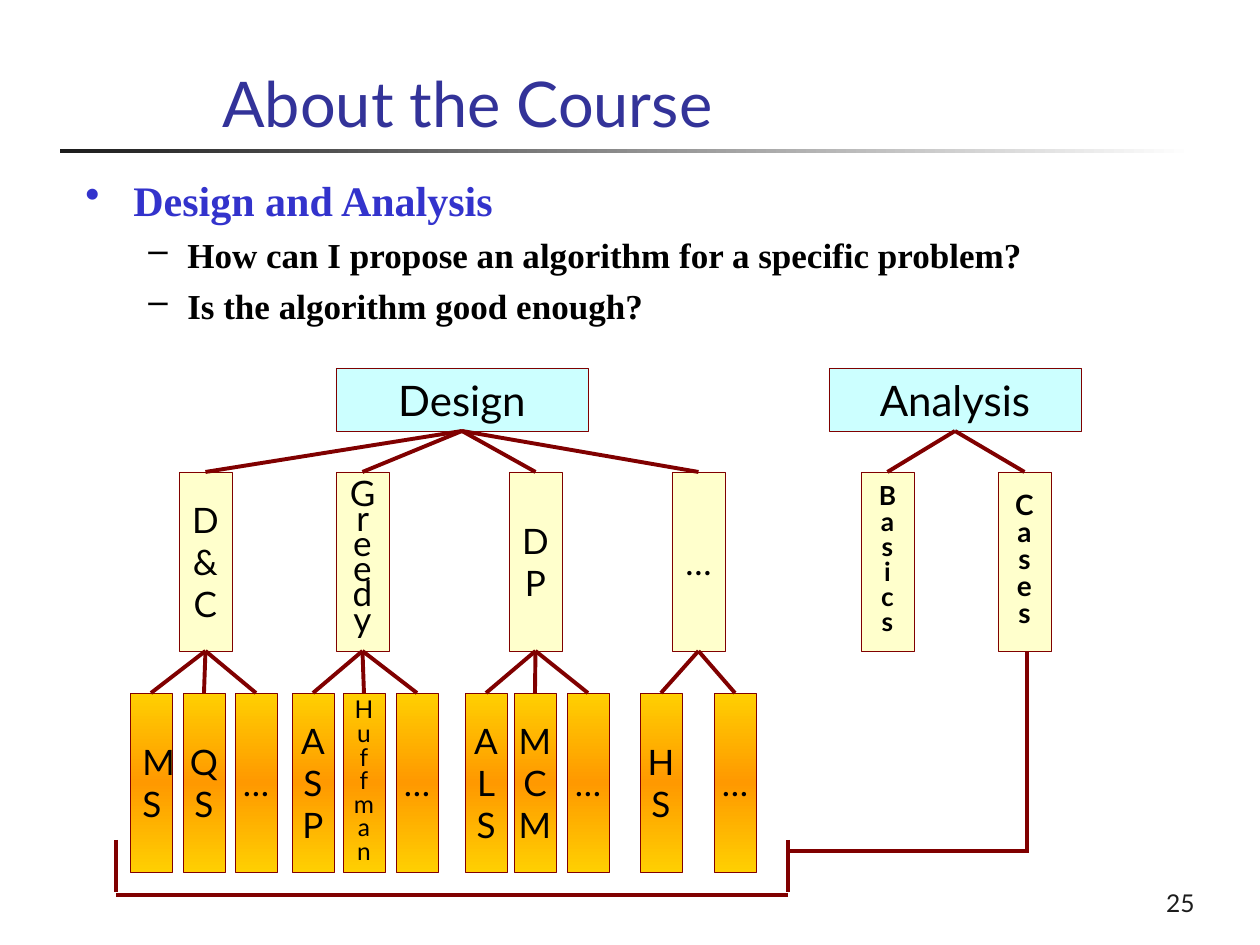
from lxml import etree
from pptx import Presentation as Deck
from pptx.dml.color import RGBColor as Rgb
from pptx.enum.shapes import MSO_CONNECTOR as Link, MSO_SHAPE as Shape
from pptx.enum.text import MSO_ANCHOR as Anchor, PP_ALIGN as Align
from pptx.oxml.ns import qn
from pptx.util import Pt

SCALE = 914400 / 126
HUES = {
    "title": "333399", "head": "3333CC", "ink": "000000", "grey": "1C1C1C",
    "white": "FFFFFF", "root": "CCFFFF", "branch": "FFFFCC",
    "gold": "FFCF01", "orange": "FF9900", "line": "800000",
}
ROOT_TOP, ROOT_W, ROOT_H = 368, 252, 63
MID_TOP, MID_W = 472, 53
LEAF_TOP, LEAF_W = 693, 42
TALL = 179

DESIGN = [
    (179, "D&C", {}, [(130, "MS", {"wrap": True}), (183, "QS", {}), (235, "…", {})]),
    (336, ["Greedy"], {"gap": 0.6, "wrap": True},
     [(292, "ASP", {}), (343, "Huffman", {"size": 14, "gap": 0.8}), (396, "…", {})]),
    (509, "DP", {}, [(465, "ALS", {}), (514, "MCM", {}), (567, "…", {})]),
    (672, "…", {}, [(640, "HS", {}), (714, "…", {})]),
]
STUDY = [
    (861, "Basics", {"size": 15, "gap": 0.8, "bold": True}, []),
    (998, "Cases", {"size": 16, "gap": 0.8, "bold": True}, []),
]


def px(n):
    return round(n * SCALE)


def rgb(hue):
    return Rgb.from_string(HUES[hue])


def mark(para, char, hue, left, hang):
    props = para._p.get_or_add_pPr()
    props.set("marL", str(px(left)))
    props.set("indent", str(-px(hang)))
    tint = etree.SubElement(props, qn("a:buClr"))
    etree.SubElement(tint, qn("a:srgbClr"), val=HUES[hue])
    etree.SubElement(props, qn("a:buChar"), char=char)


def write(frame, text, size=20, font="Lato", hue="ink", bold=False,
          align=Align.LEFT, gap=None, before=None, dot=None, left=0, hang=0, level=0):
    para = frame.paragraphs[0]
    if para.runs:
        para = frame.add_paragraph()
    para.level = level
    if dot:
        mark(para, dot, hue, left, hang)
    para.alignment = align
    para.line_spacing = gap
    if before:
        para.space_before = Pt(before)
    run = para.add_run()
    run.text = text
    run.font.size = Pt(size)
    run.font.name = font
    run.font.bold = bold
    run.font.color.rgb = rgb(hue)


def label(slide, x, y, w, h, anchor=Anchor.TOP):
    frame = slide.shapes.add_textbox(px(x), px(y), px(w), px(h)).text_frame
    frame.word_wrap = True
    frame.vertical_anchor = anchor
    return frame


def blend(shape, hues, angle):
    shape.fill.solid()
    props = shape._element.spPr
    grad = etree.Element(qn("a:gradFill"), rotWithShape="1")
    stops = etree.SubElement(grad, qn("a:gsLst"))
    for i, hue in enumerate(hues):
        stop = etree.SubElement(stops, qn("a:gs"), pos=str(100000 * i // (len(hues) - 1)))
        etree.SubElement(stop, qn("a:srgbClr"), val=HUES[hue])
    etree.SubElement(grad, qn("a:lin"), ang=str(angle * 60000), scaled="0")
    props.replace(props.find(qn("a:solidFill")), grad)


def block(slide, x, y, w, h, hues, angle=90):
    shape = slide.shapes.add_shape(Shape.RECTANGLE, px(x), px(y), px(w), px(h))
    shape.shadow.inherit = False
    if len(hues) > 1:
        blend(shape, hues, angle)
    else:
        shape.fill.solid()
        shape.fill.fore_color.rgb = rgb(hues[0])
    return shape


def node(slide, x, y, w, h, lines, hues, wrap=False, **form):
    shape = block(slide, x, y, w, h, hues)
    shape.line.color.rgb = rgb("line")
    shape.line.width = Pt(0.25)
    frame = shape.text_frame
    frame.word_wrap = wrap
    frame.vertical_anchor = Anchor.MIDDLE
    for line in lines:
        write(frame, line, align=Align.CENTER, **form)


def line(slide, *ends):
    link = slide.shapes.add_connector(Link.STRAIGHT, *[px(n) for n in ends])
    link.line.color.rgb = rgb("line")
    link.line.width = Pt(2.25)
    etree.SubElement(link._element.spPr, qn("a:effectLst"))


def tree(slide, x, name, kids):
    node(slide, x, ROOT_TOP, ROOT_W, ROOT_H, [name], ["root"], size=24)
    for left, text, form, leaves in kids:
        mid = left + MID_W / 2
        node(slide, left, MID_TOP, MID_W, TALL, text, ["branch"], **form)
        line(slide, x + ROOT_W / 2, ROOT_TOP + ROOT_H, mid, MID_TOP)
        for spot, word, style in leaves:
            node(slide, spot, LEAF_TOP, LEAF_W, TALL, word,
                 ["gold", "orange", "gold"], **style)
            line(slide, mid, MID_TOP + TALL, spot + LEAF_W / 2, LEAF_TOP)


def main():
    deck = Deck()
    deck.slide_width, deck.slide_height = px(1260), px(945)
    slide = deck.slides.add_slide(deck.slide_layouts[6])

    rule = block(slide, 60, 149, 1134, 4, ["grey", "white"], 0)
    rule.line.fill.background()
    write(label(slide, 210, 21, 990, 125, Anchor.BOTTOM),
          "About the Course", size=36, hue="title")

    body = label(slide, 73, 168, 1134, 189)
    serif = {"font": "Times New Roman", "bold": True}
    write(body, "Design and Analysis", size=24, hue="head",
          dot="•", left=48, hang=48, **serif)
    for text in ("How can I propose an algorithm for a specific problem?",
                 "Is the algorithm good enough?"):
        write(body, text, before=5, dot="–", left=102, hang=39, level=1, **serif)

    tree(slide, 336, "Design", DESIGN)
    tree(slide, 829, "Analysis", STUDY)

    line(slide, 1027, MID_TOP + TALL, 1027, 851)
    line(slide, 1029, 851, 788, 851)
    for x in (116, 788):
        line(slide, x, 840, x, 892)
    line(slide, 116, 895, 788, 895)

    write(label(slide, 945, 861, 262, 63, Anchor.BOTTOM),
          "25", size=14, hue="grey", align=Align.RIGHT)
    deck.save("out.pptx")


if __name__ == "__main__":
    main()
